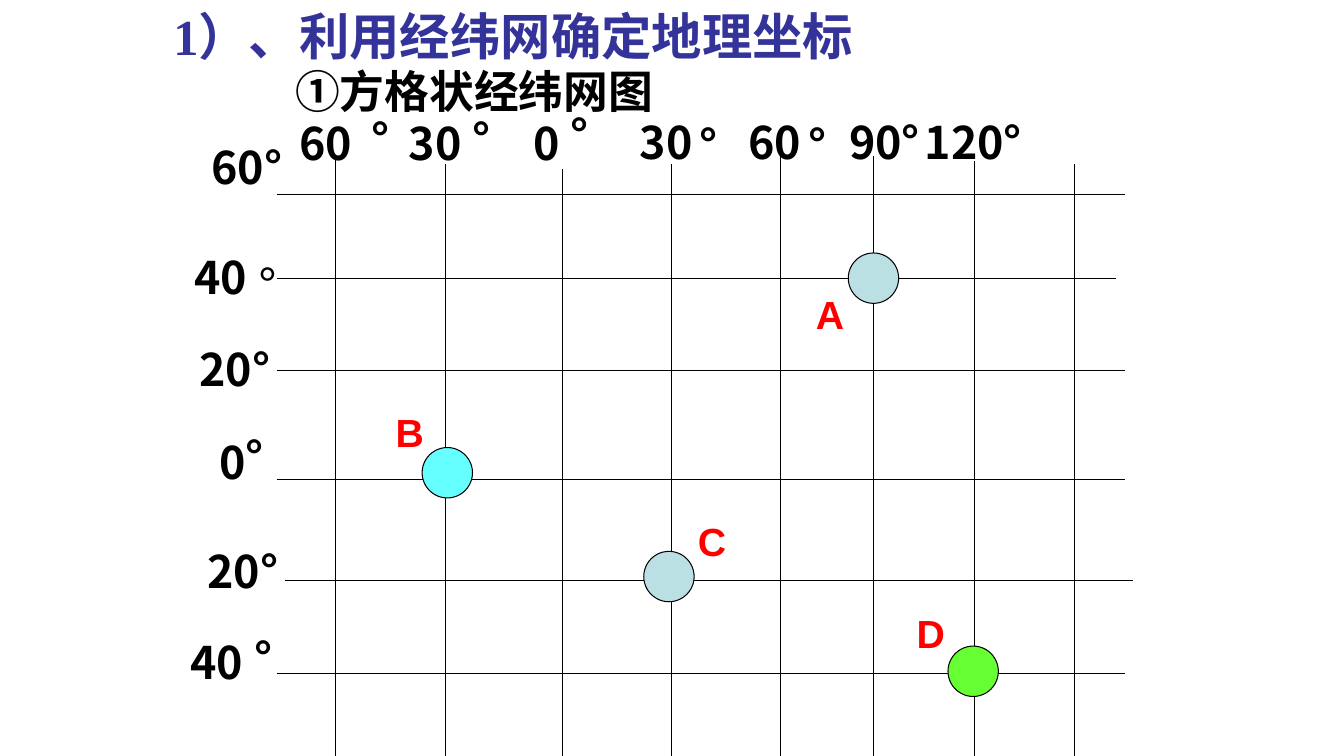
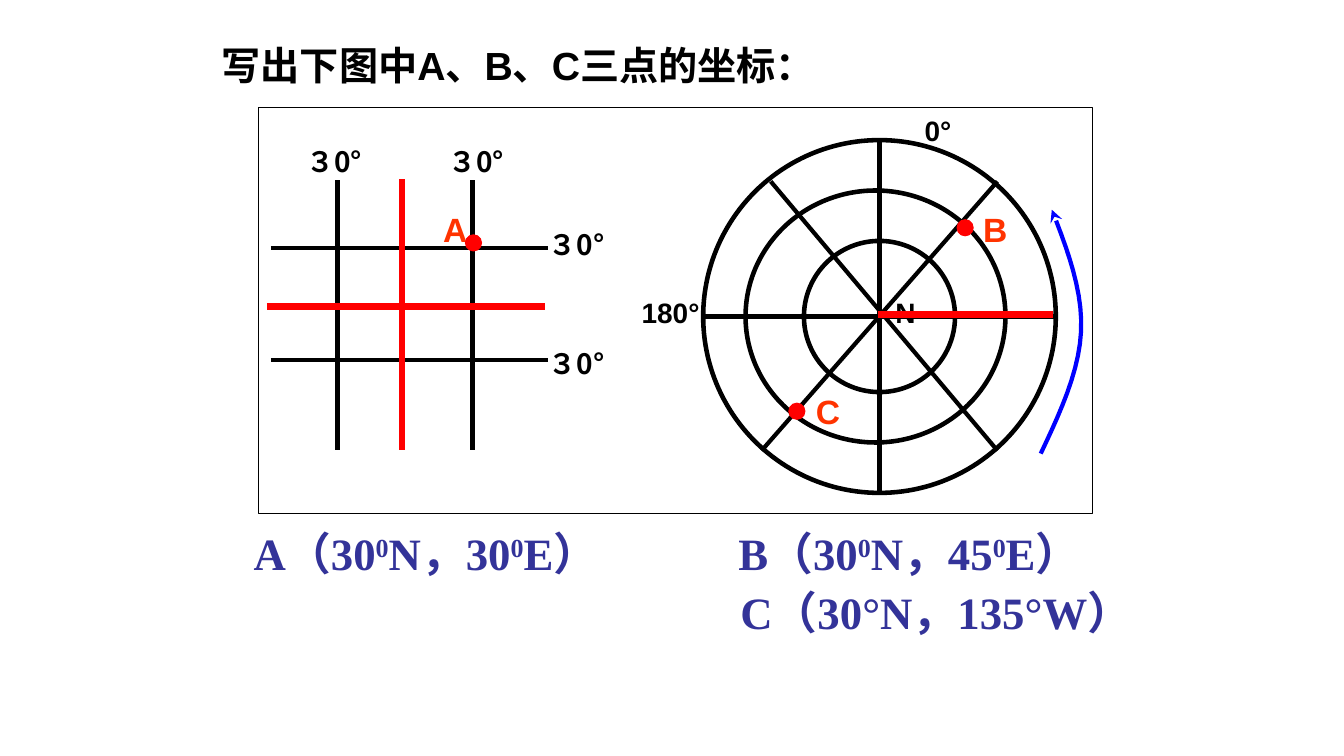
from dataclasses import dataclass
from typing import Any

from lxml.etree import SubElement
from pptx import Presentation
from pptx.dml.color import RGBColor
from pptx.enum.shapes import MSO_CONNECTOR, MSO_SHAPE
from pptx.enum.text import MSO_ANCHOR, MSO_AUTO_SIZE, PP_ALIGN
from pptx.oxml.ns import qn
from pptx.util import Inches, Pt

BLACK, WHITE, RED, NAVY = "000000", "FFFFFF", "FF0000", "333399"
ORANGE, BLUE, PALE, CYAN, GREEN = "FF3300", "0000FF", "BBE0E3", "66FFFF", "66FF33"
HAN, SANS, SERIF = "Noto Sans CJK SC", "Arial", "Times New Roman"


def paint(target, color):
    """Give a font colour or a fill its solid colour."""
    target.rgb = RGBColor.from_string(color)


def write(frame, text, size, face, color):
    """Fill a text frame; parts between carets are raised."""
    frame.word_wrap = True
    frame.auto_size = MSO_AUTO_SIZE.NONE
    frame.vertical_anchor = MSO_ANCHOR.TOP
    para = frame.paragraphs[0]
    para.alignment = PP_ALIGN.LEFT
    font = para.font
    font.size, font.name, font.bold = Pt(size), face, True
    paint(font.color, color)
    props = para._p.pPr.find(qn("a:defRPr"))
    SubElement(props, qn("a:ea")).set("typeface", HAN)
    for i, part in enumerate(text.split("^")):
        run = para.add_run()
        run.text = part
        if i % 2:
            run._r.get_or_add_rPr().set("baseline", "30000")


def stroke(shape, color, width):
    paint_line = shape.line
    paint_line.width = Pt(width)
    paint_line.fill.solid()
    paint(paint_line.fill.fore_color, color)


@dataclass
class Area:
    """A region of a slide; all lengths count from its top left corner."""
    shapes: Any
    x: float
    y: float

    def spot(self, x, y):
        return Inches(self.x + x), Inches(self.y + y)

    def line(self, x1, y1, x2, y2, color=BLACK, width=0.75):
        wire = self.shapes.add_connector(
            MSO_CONNECTOR.STRAIGHT, *self.spot(x1, y1), *self.spot(x2, y2))
        stroke(wire, color, width)
        SubElement(wire._element.spPr, qn("a:effectLst"))

    def form(self, kind, x, y, w, h, fill=None, color=BLACK, width=0.75):
        shape = self.shapes.add_shape(kind, *self.spot(x, y), Inches(w), Inches(h))
        shape.shadow.inherit = False
        stroke(shape, color, width)
        if fill:
            shape.fill.solid()
            paint(shape.fill.fore_color, fill)
        else:
            shape.fill.background()

    def oval(self, x, y, w, h, **style):
        self.form(MSO_SHAPE.OVAL, x, y, w, h, **style)

    def dot(self, x, y):
        self.oval(x, y, 0.16, 0.16, fill=RED, color=RED)

    def text(self, text, x, y, w, h, size, face=HAN, color=BLACK):
        box = self.shapes.add_textbox(*self.spot(x, y), Inches(w), Inches(h))
        write(box.text_frame, text, size, face, color)

    def bow(self, start, curves, color, width):
        """Draw a chain of cubic curves that ends in an arrowhead."""
        points, steps, last = [], 10, start
        for knots in curves:
            a, b, c, d = last, *knots
            for i in range(1, steps + 1):
                t = i / steps
                u = 1 - t
                points.append(self.spot(*(
                    u**3 * a[k] + 3 * u * u * t * b[k] + 3 * u * t * t * c[k] + t**3 * d[k]
                    for k in (0, 1))))
            last = d
        pen = self.shapes.build_freeform(*self.spot(*start))
        pen.add_line_segments(points, close=False)
        shape = pen.convert_to_shape()
        shape.shadow.inherit = False
        shape.fill.background()
        stroke(shape, color, width)
        SubElement(shape.line._get_or_add_ln(), qn("a:tailEnd")).set("type", "stealth")


def start(deck, text, box, size, face, color):
    """Add a title-only slide and set its title."""
    slide = deck.slides.add_slide(deck.slide_layouts[5])
    title = slide.shapes.title
    title.left, title.top, title.width, title.height = map(Inches, box)
    write(title.text_frame, text, size, face, color)
    return slide.shapes


def chart(area):
    """Square net of meridians and parallels with four points."""
    for x, top in ((0.58, 0.16), (1.67, 0.2), (2.83, 0.25), (3.92, 0.2),
                   (5, 0), (5.92, 0.12), (6.92, 0.17), (7.92, 0.2)):
        area.line(x, top, x, 6.07)
    for y, left, right in ((0.5, 0, 8.42), (1.33, 0, 8.33), (2.25, 0, 8.42),
                           (3.33, 0, 8.42), (4.33, 0.08, 8.5), (5.25, 0, 8.42)):
        area.line(left, y, right, y)

    # Degrees of longitude, then of latitude
    wide = {1: 0.5, 2: 0.75, 3: 1, 4: 1.3}
    for text, x, y in (
            ("60", 0.12, -0.33), ("°", 0.84, -0.37), ("30", 1.21, -0.33), ("°", 1.84, -0.37),
            ("0", 2.45, -0.33), ("°", 2.81, -0.41), ("30", 3.5, -0.34), ("°", 4.09, -0.31),
            ("60", 4.58, -0.34), ("°", 5.18, -0.31), ("90°", 5.58, -0.34),
            ("120°", 6.33, -0.34),
            ("60°", -0.75, -0.09), ("40", -0.92, 1), ("20°", -0.87, 1.91),
            ("0", -0.67, 2.83), ("°", -0.41, 2.78), ("20°", -0.79, 3.91),
            ("40", -0.96, 4.82), ("°", -0.32, 4.78)):
        area.text(text, x, y, wide[len(text)], 0.64, 32)
    area.text("°", -0.28, 1.03, 0.5, 0.64, 32, SERIF)

    # Points and their letters
    for name, x, y, fill, tx, ty in (
            ("A", 5.67, 1.08, PALE, 5.25, 1.4), ("B", 1.44, 3.01, CYAN, 1.08, 2.57),
            ("C", 3.64, 4.04, PALE, 4.08, 3.65), ("D", 6.66, 4.98, GREEN, 6.25, 4.57)):
        area.oval(x, y, 0.5, 0.5, fill=fill)
        area.text(name, tx, ty, 0.67, 0.57, 28, SANS, RED)


def cross(area):
    """Small square net with point A."""
    for y in (0.68, 1.79):
        area.line(0.04, y, 2.79, y, width=3.25)
    for x in (0.7, 2.04):
        area.line(x, 0.01, x, 2.68, width=3.25)
    for x, y in ((0.29, -0.4), (1.7, -0.4), (2.7, 0.43), (2.7, 1.61)):
        area.text("３0°", x, y, 1, 0.44, 20)
    area.text("A", 1.65, 0.24, 1, 0.5, 24, SANS, ORANGE)
    area.dot(1.97, 0.55)
    area.line(0, 1.26, 2.76, 1.26, RED, 4.5)
    area.line(1.34, 0, 1.34, 2.68, RED, 4.5)


def polar(area):
    """Polar net with points B and C and the turning arrow."""
    for x, y, w, h in ((0, 0, 3.5, 3.5), (0.42, 0.5, 2.58, 2.5), (1, 1, 1.5, 1.5)):
        area.oval(x, y, w, h, width=3.25)
    for ends in ((0, 1.75, 3.5, 1.75), (1.75, 3.5, 1.75, 0),
                 (0.58, 3.08, 2.92, 0.41), (2.92, 3.08, 0.67, 0.41)):
        area.line(*ends, width=3)
    for text, x, y in (("0°", 2.1, -0.31), ("180°", -0.71, 1.49), ("N", 1.81, 1.49)):
        area.text(text, x, y, 1, 0.44, 20, SANS)
    area.line(1.73, 1.73, 3.47, 1.73, RED, 4.5)
    for name, x, y, tx, ty in (("B", 2.52, 0.79, 2.68, 0.63), ("C", 0.85, 2.61, 1.02, 2.44)):
        area.dot(x, y)
        area.text(name, tx, ty, 1, 0.5, 24, SANS, ORANGE)
    area.bow((3.35, 3.11), (((3.54, 2.71), (3.73, 2.3), (3.75, 1.9)),
                            ((3.77, 1.5), (3.62, 1.1), (3.46, 0.69))), BLUE, 3)


def answers(area):
    """Coordinates of the three points."""
    for text, x, y in (("A（30^0^N，30^0^E）", 0, 0), ("B（30^0^N，45^0^E）", 4.81, 0),
                       ("C（30°N，135°W）", 4.83, 0.58)):
        area.text(text, x, y, 4.7, 0.64, 32, SERIF, NAVY)


def main():
    deck = Presentation()
    deck.slide_width, deck.slide_height = Inches(13.34), Inches(7.5)

    # Square net
    shapes = start(deck, "1）、利用经纬网确定地理坐标", (1.62, 0, 7.2, 0.7), 36, SERIF, NAVY)
    Area(shapes, 2.83, 0.58).text("①方格状经纬网图", 0, 0, 4.28, 0.64, 32)
    chart(Area(shapes, 2.75, 1.43))

    # Exercise
    shapes = start(deck, "写出下图中A、B、C三点的坐标：", (2.1, 0.36, 8.65, 0.57), 28, SANS, BLACK)
    Area(shapes, 2.57, 1.07).form(MSO_SHAPE.RECTANGLE, 0, 0, 8.27, 4.02, fill=WHITE)
    cross(Area(shapes, 2.65, 1.78))
    polar(Area(shapes, 6.98, 1.39))
    answers(Area(shapes, 2.42, 5.17))

    deck.save("out.pptx")


if __name__ == "__main__":
    main()
